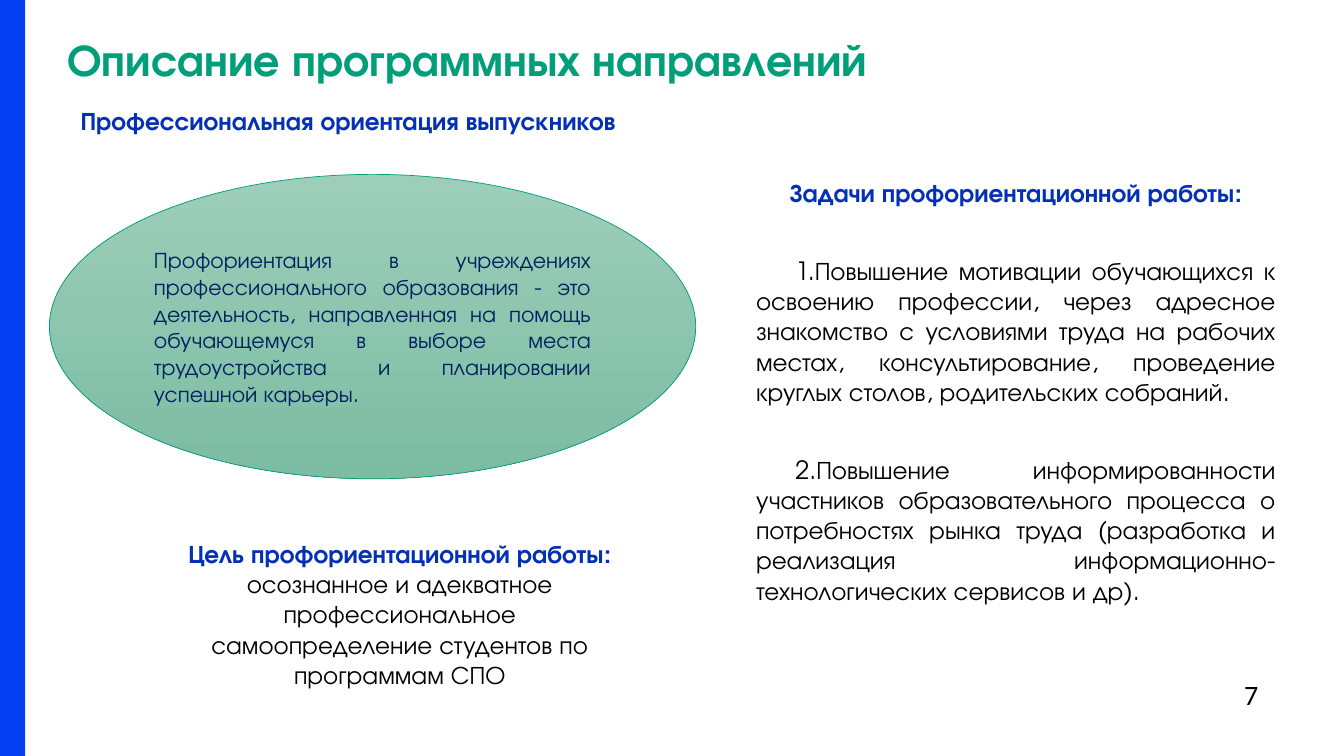
import pptx
import pptx.dml.color
import pptx.enum.shapes
import pptx.enum.text
import pptx.oxml
import pptx.util
from dataclasses import dataclass

TITLE = "Описание программных направлений"
DIRECTION = "Профессиональная ориентация выпускников"
DEFINITION = (
    "Профориентация в учреждениях профессионального образования - это "
    "деятельность, направленная на помощь обучающемуся в выборе места "
    "трудоустройства и планировании успешной карьеры."
)
GOAL_HEADING = "Цель профориентационной работы: "
GOAL = (
    "осознанное и адекватное профессиональное самоопределение студентов "
    "по программам СПО"
)
TASKS_HEADING = "Задачи профориентационной работы:"
TASKS = [
    "Повышение мотивации обучающихся к освоению профессии, через адресное "
    "знакомство с условиями труда на рабочих местах, консультирование, "
    "проведение круглых столов, родительских собраний.",
    "Повышение информированности участников образовательного процесса о "
    "потребностях рынка труда (разработка и реализация "
    "информационно-технологических сервисов и др).",
]
PAGE = "7"


@dataclass(frozen=True)
class Theme:
    font: str = "TeX Gyre Adventor"
    page_font: str = "Calibri"
    title: str = "009F79"
    heading: str = "0430B5"
    body: str = "000000"
    definition: str = "002060"
    stripe: str = "0540F2"
    oval: tuple = ("9DCEB9", "7CBCA2")
    title_size: int = 32
    page_size: int = 20
    body_size: int = 18
    definition_size: int = 16
    task_gap: int = 34


THEME = Theme()
ALIGN = pptx.enum.text.PP_ALIGN
ANCHOR = pptx.enum.text.MSO_ANCHOR
SHAPE = pptx.enum.shapes.MSO_SHAPE
CELL = pptx.util.Inches(0.1)
INDENT = pptx.util.Inches(0.39)

GRID = {
    "page": (122.4, 66.7, 5.3, 4.4),
    "title": (6.7, 4, 119.3, 4.9),
    "stripe": (0, 0, 2.5, 75),
    "direction": (7, 10, 61.1, 4),
    "oval": (4.9, 17.3, 64.1, 30.2),
    "goal": (17.6, 52.9, 44.1, 16.2),
    "tasks": (74, 17.1, 53.5, 49.8),
}


def place(part):
    return [round(cells * CELL) for cells in GRID[part]]


def rgb(value):
    return pptx.dml.color.RGBColor.from_string(value)


def write(paragraph, text, size=THEME.body_size, color=THEME.body, bold=False,
          font=THEME.font, align=ALIGN.LEFT, before=None, line=None, number=None):
    paragraph.alignment = align
    if before:
        paragraph.space_before = pptx.util.Pt(before)
    if line:
        paragraph.line_spacing = pptx.util.Pt(line)
    if number:
        properties = paragraph._p.get_or_add_pPr()
        properties.set("marL", "0")
        properties.set("indent", str(INDENT))
        bullet = pptx.oxml.parse_xml(
            '<a:buAutoNum xmlns:a="http://schemas.openxmlformats.org/drawingml/2006/main"'
            f' type="arabicPeriod" startAt="{number}"/>'
        )
        properties.append(bullet)
    run = paragraph.add_run()
    run.text = text
    run.font.name = font
    run.font.size = pptx.util.Pt(size)
    run.font.bold = bold
    run.font.color.rgb = rgb(color)


def text_frame(slide, part):
    frame = slide.shapes.add_textbox(*place(part)).text_frame
    frame.word_wrap = True
    return frame


def add_shape(slide, part, kind):
    shape = slide.shapes.add_shape(kind, *place(part))
    shape.shadow.inherit = False
    return shape


def main():
    deck = pptx.Presentation()
    deck.slide_width = pptx.util.Inches(13.33)
    deck.slide_height = pptx.util.Inches(7.5)
    slide = deck.slides.add_slide(deck.slide_layouts[6])

    page = text_frame(slide, "page")
    write(page.paragraphs[0], PAGE, size=THEME.page_size, font=THEME.page_font)

    title = text_frame(slide, "title")
    title.margin_left = title.margin_right = title.margin_top = title.margin_bottom = 0
    write(title.paragraphs[0], TITLE, size=THEME.title_size, color=THEME.title,
          bold=True, line=THEME.title_size)

    stripe = add_shape(slide, "stripe", SHAPE.RECTANGLE)
    stripe.fill.solid()
    stripe.fill.fore_color.rgb = rgb(THEME.stripe)
    stripe.line.fill.background()

    direction = text_frame(slide, "direction")
    write(direction.paragraphs[0], DIRECTION, color=THEME.heading, bold=True)

    oval = add_shape(slide, "oval", SHAPE.OVAL)
    oval.fill.gradient()
    oval.fill.gradient_angle = 270
    for stop, color, position in zip(oval.fill.gradient_stops, THEME.oval, (0, 1)):
        stop.color.rgb = rgb(color)
        stop.position = position
    oval.line.color.rgb = rgb(THEME.title)
    oval.line.width = pptx.util.Pt(0.5)
    oval.text_frame.word_wrap = True
    oval.text_frame.vertical_anchor = ANCHOR.MIDDLE
    write(oval.text_frame.paragraphs[0], DEFINITION, size=THEME.definition_size,
          color=THEME.definition, align=ALIGN.JUSTIFY)

    goal = text_frame(slide, "goal").paragraphs[0]
    write(goal, GOAL_HEADING, color=THEME.heading, bold=True, align=ALIGN.CENTER)
    write(goal, GOAL, align=ALIGN.CENTER)

    tasks = text_frame(slide, "tasks")
    write(tasks.paragraphs[0], TASKS_HEADING, color=THEME.heading, bold=True,
          align=ALIGN.CENTER)
    for number, task in enumerate(TASKS, 1):
        write(tasks.add_paragraph(), task, align=ALIGN.JUSTIFY,
              before=THEME.task_gap, number=number)

    deck.save("out.pptx")


if __name__ == "__main__":
    main()
